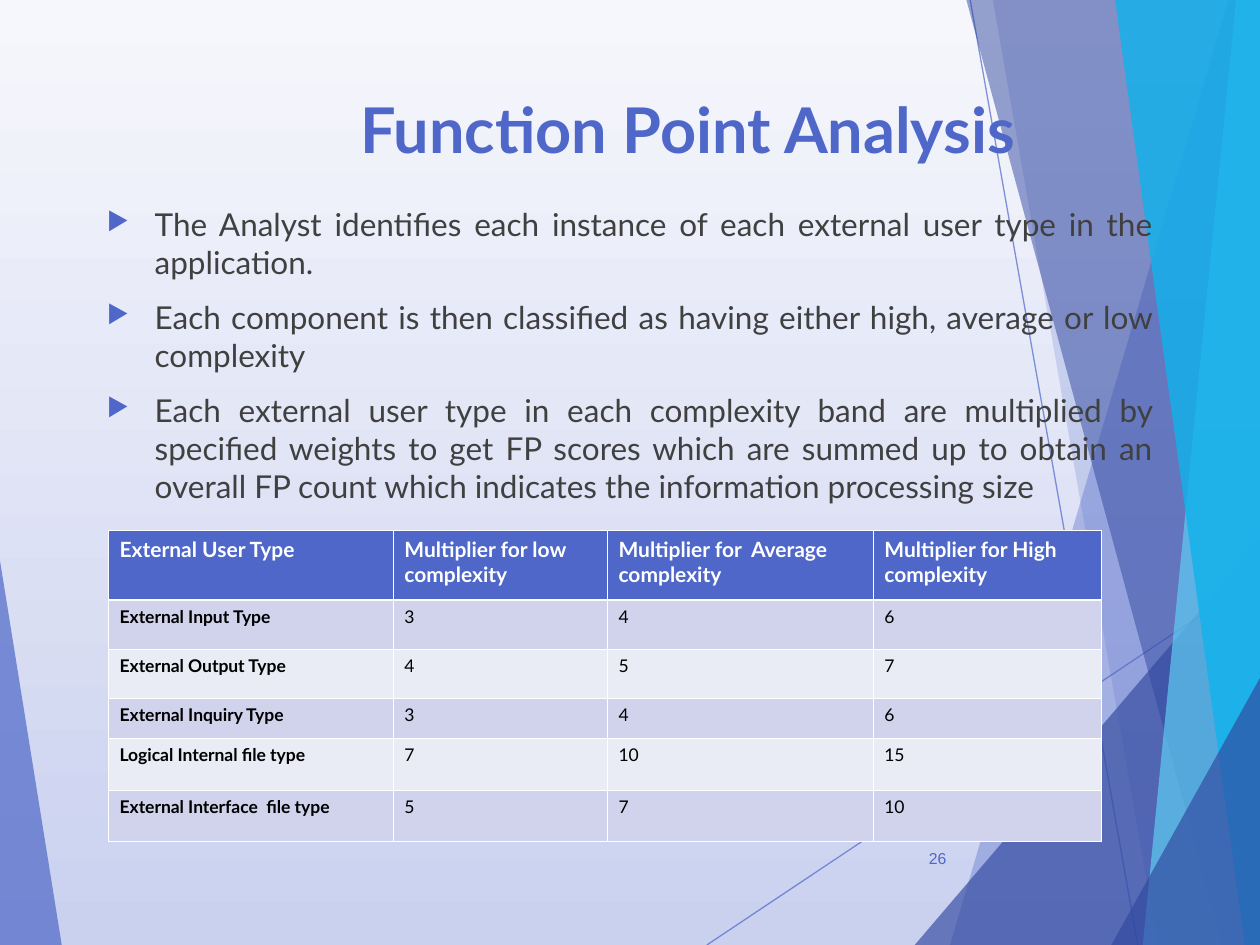
from lxml import etree
from pptx import Presentation
from pptx.dml.color import RGBColor
from pptx.enum.shapes import MSO_CONNECTOR
from pptx.enum.text import MSO_ANCHOR, MSO_AUTO_SIZE, PP_ALIGN
from pptx.oxml.ns import qn
from pptx.util import Inches, Pt

LEFT, RIGHT, JUSTIFY = PP_ALIGN.LEFT, PP_ALIGN.RIGHT, PP_ALIGN.JUSTIFY
TOP, MIDDLE = MSO_ANCHOR.TOP, MSO_ANCHOR.MIDDLE
STRAIGHT = MSO_CONNECTOR.STRAIGHT

BLUE, NAVY, CYAN, SKY = "4E67C8", "31489F", "12B2EB", "5ECCF3"
WHITE, BLACK, GRAY = "FFFFFF", "000000", "404040"
BANDS = ("D0D3EB", "E9EBF5")
BACKGROUND = ("F6F7FC", "CAD1EF")
W, H = 10, 7.5

TITLE = "Function Point Analysis"
POINTS = [
    "The Analyst identifies each instance of each external user type in the application.",
    "Each component is then classified as having either high, average or low complexity",
    "Each external user type in each complexity band are multiplied by specified weights "
    "to get FP scores which are summed up to obtain an overall FP count which indicates "
    "the information processing size",
]
MULTIPLIERS = [
    ("External User Type", "Multiplier for low complexity",
     "Multiplier for  Average complexity", "Multiplier for High complexity"),
    ("External Input Type", "3", "4", "6"),
    ("External Output Type", "4", "5", "7"),
    ("External Inquiry Type", "3", "4", "6"),
    ("Logical Internal file type", "7", "10", "15"),
    ("External Interface  file type", "5", "7", "10"),
]
COLUMN_WIDTHS = (2.26, 1.7, 2.11, 1.81)
ROW_HEIGHTS = (0.55, 0.39, 0.39, 0.32, 0.41, 0.41)
PAGE_NUMBER = "26"

# Facets: outline points, colour, opacity in percent
LEFT_FACET = ([(0, 4.45), (0.49, H), (0, H)], BLUE, 70)
RIGHT_FACETS = [
    ([(9.75, 0), (7.54, H), (W, H), (W, 0)], BLUE, 36),
    ([(7.88, 0), (9.19, H), (W, H), (W, 0)], BLUE, 20),
    ([(7.26, H), (W, 4.29), (W, H)], NAVY, 66),
    ([(7.67, 0), (9.7, H), (W, H), (W, 0)], NAVY, 50),
    ([(9.81, 0), (9.07, H), (W, H), (W, 0)], SKY, 70),
    ([(8.85, 0), (9.88, H), (W, H), (W, 0)], CYAN, 82),
    ([(8.82, H), (W, 5.38), (W, H)], NAVY, 66),
]
RAYS = [((5.61, H), (W, 4.57)), ((7.7, 0), (9.03, H))]


def rgb(color):
    return RGBColor.from_string(color)


def set_opacity(fill_parent, percent):
    color = fill_parent.find(qn("a:solidFill"))[0]
    etree.SubElement(color, qn("a:alpha"), val=str(percent * 1000))


def add_facet(slide, outline, color, opacity):
    points = [(Inches(x), Inches(y)) for x, y in outline]
    builder = slide.shapes.build_freeform(*points[0], scale=1.0)
    builder.add_line_segments(points[1:], close=True)
    facet = builder.convert_to_shape()
    facet.shadow.inherit = False
    facet.fill.solid()
    facet.fill.fore_color.rgb = rgb(color)
    set_opacity(facet._element.spPr, opacity)
    facet.line.fill.background()


def add_ray(slide, start, end):
    ray = slide.shapes.add_connector(STRAIGHT, *(Inches(v) for v in start + end))
    ray.line.width = Pt(0.75)
    ray.line.color.rgb = rgb(BLUE)
    set_opacity(ray.line._ln, 70)
    etree.SubElement(ray._element.spPr, qn("a:effectLst"))


def add_run(paragraph, text, size, color, bold=False, font="Lato"):
    run = paragraph.add_run()
    run.text = text
    run.font.size = Pt(size)
    run.font.name = font
    run.font.bold = bold
    run.font.color.rgb = rgb(color)


def set_indent(paragraph, margin, first_line=0):
    properties = paragraph._p.get_or_add_pPr()
    properties.set("marL", str(Inches(margin)))
    properties.set("indent", str(Inches(first_line)))
    return properties


def prepare_frame(shape, anchor):
    frame = shape.text_frame
    frame.word_wrap = True
    frame.auto_size = MSO_AUTO_SIZE.NONE
    frame.vertical_anchor = anchor
    return frame


def add_text_box(slide, left, top, width, height, anchor):
    box = slide.shapes.add_textbox(*(Inches(v) for v in (left, top, width, height)))
    return prepare_frame(box, anchor)


def add_title(slide):
    title = slide.shapes.title
    title.left, title.top = Inches(0.75), Inches(0.67)
    title.width, title.height = Inches(8.5), Inches(1.25)
    paragraph = prepare_frame(title, TOP).paragraphs[0]
    paragraph.alignment = LEFT
    set_indent(paragraph, 2.01)
    add_run(paragraph, TITLE, 36, BLUE, bold=True)


def add_points(slide):
    frame = add_text_box(slide, 0.75, 1.58, 8.5, 5.09, TOP)
    for i, point in enumerate(POINTS):
        paragraph = frame.add_paragraph() if i else frame.paragraphs[0]
        paragraph.alignment = JUSTIFY
        if i:
            paragraph.space_before = Pt(10)
        properties = set_indent(paragraph, 0.38, -0.38)
        bullet_color = etree.SubElement(properties, qn("a:buClr"))
        etree.SubElement(bullet_color, qn("a:srgbClr"), val=BLUE)
        etree.SubElement(properties, qn("a:buSzPct"), val="80000")
        etree.SubElement(properties, qn("a:buChar"), char="▶")
        add_run(paragraph, point, 18, GRAY)


def set_borders(cell, row):
    """White cell borders, heavier between the header and the first data row."""
    properties = cell._tc.get_or_add_tcPr()
    for side in "LRTB":
        heavy = (row, side) in ((0, "B"), (1, "T"))
        border = etree.SubElement(properties, qn(f"a:ln{side}"),
                                  w=str(Pt(1.47 if heavy else 0.45)))
        fill = etree.SubElement(border, qn("a:solidFill"))
        etree.SubElement(fill, qn("a:srgbClr"), val=WHITE)


def add_multiplier_table(slide):
    table = slide.shapes.add_table(
        len(MULTIPLIERS), len(COLUMN_WIDTHS), Inches(0.86), Inches(4.21),
        Inches(sum(COLUMN_WIDTHS)), Inches(sum(ROW_HEIGHTS))).table
    for column, width in zip(table.columns, COLUMN_WIDTHS):
        column.width = Inches(width)
    for r, (height, values) in enumerate(zip(ROW_HEIGHTS, MULTIPLIERS)):
        table.rows[r].height = Inches(height)
        header = r == 0
        for c, value in enumerate(values):
            cell = table.cell(r, c)
            set_borders(cell, r)
            cell.fill.solid()
            cell.fill.fore_color.rgb = rgb(BLUE if header else BANDS[(r - 1) % 2])
            cell.margin_left = cell.margin_right = Inches(0.09)
            add_run(cell.text_frame.paragraphs[0], value, 12 if header else 10,
                    WHITE if header else BLACK, bold=header or c == 0)


def main():
    prs = Presentation()
    prs.slide_width, prs.slide_height = Inches(W), Inches(H)
    slide = prs.slides.add_slide(prs.slide_layouts[5])

    background = slide.background.fill
    background.gradient()
    background.gradient_angle = 270
    for stop, color in zip(background.gradient_stops, BACKGROUND):
        stop.color.rgb = rgb(color)

    add_facet(slide, *LEFT_FACET)
    for start, end in RAYS:
        add_ray(slide, start, end)
    for facet in RIGHT_FACETS:
        add_facet(slide, *facet)
    title = slide.shapes.title._element
    title.getparent().append(title)  # bring in front of the facets
    add_title(slide)
    add_points(slide)
    number = add_text_box(slide, 7.05, 6.61, 0.56, 0.4, MIDDLE).paragraphs[0]
    number.alignment = RIGHT
    add_run(number, PAGE_NUMBER, 9, BLUE, font="Arial")
    add_multiplier_table(slide)
    prs.save("out.pptx")


if __name__ == "__main__":
    main()
